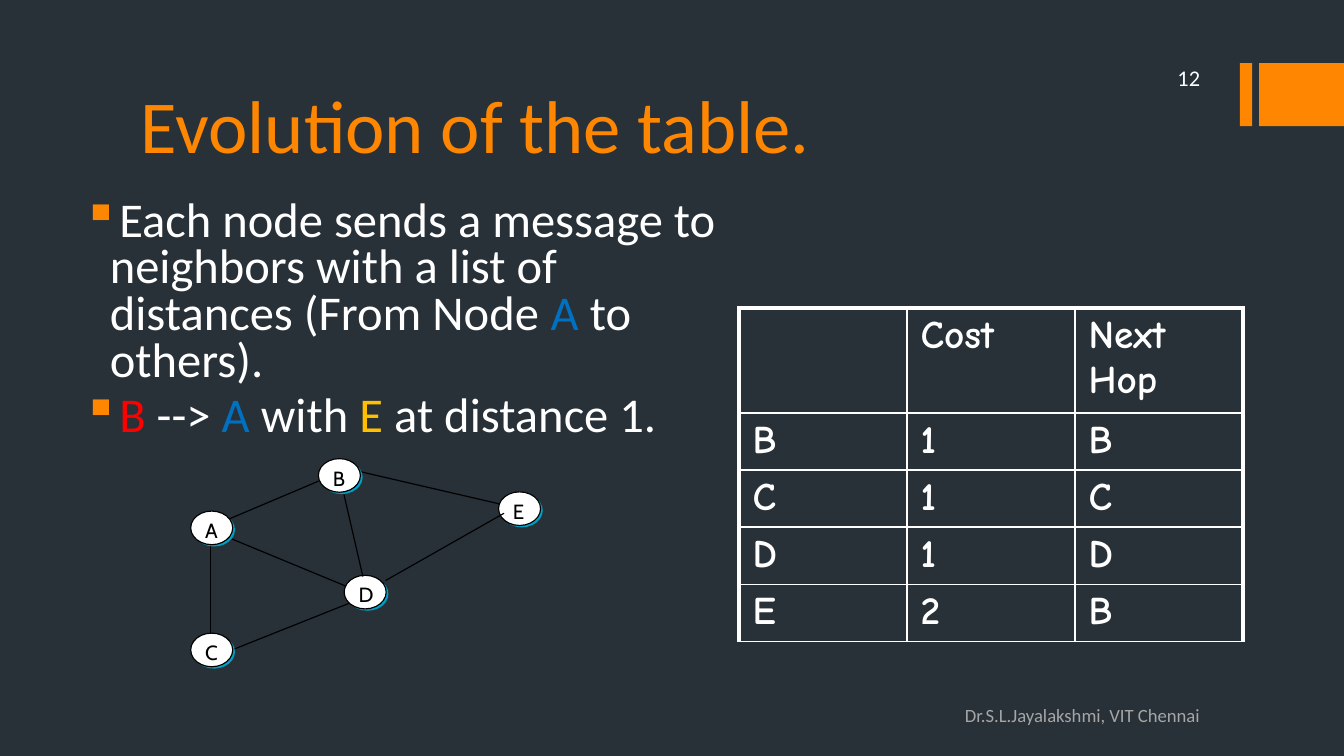
from lxml import etree
from pptx import Presentation
from pptx.dml.color import RGBColor
from pptx.enum.shapes import MSO_CONNECTOR as LINE, MSO_SHAPE as SHAPE
from pptx.enum.text import MSO_ANCHOR as ANCHOR, PP_ALIGN as ALIGN
from pptx.oxml import parse_xml
from pptx.oxml.ns import nsdecls, qn
from pptx.util import Pt

BACKGROUND = RGBColor(0x28, 0x31, 0x38)
ORANGE = RGBColor(0xFF, 0x86, 0x00)
WHITE = RGBColor(0xFF, 0xFF, 0xFF)
BLACK = RGBColor(0x00, 0x00, 0x00)
BLUE = RGBColor(0x00, 0x70, 0xC0)
RED = RGBColor(0xFF, 0x00, 0x00)
GOLD = RGBColor(0xFF, 0xC0, 0x00)
TEAL = RGBColor(0x00, 0xA0, 0xC6)
GREY = RGBColor(0xA6, 0xA6, 0xA6)

deck = Presentation()
deck.slide_width, deck.slide_height = Pt(720), Pt(405)
page = deck.slides.add_slide(deck.slide_layouts[6])
page.background.fill.solid()
page.background.fill.fore_color.rgb = BACKGROUND


def add_span(para, text, size, color, font="Calibri", bold=False):
    span = para.add_run()
    span.text = text
    span.font.size = Pt(size)
    span.font.name = font
    span.font.bold = bold
    span.font.color.rgb = color


def add_filled(kind, left, top, width, height, color):
    shape = page.shapes.add_shape(kind, Pt(left), Pt(top), Pt(width), Pt(height))
    shape.shadow.inherit = False
    shape.fill.solid()
    shape.fill.fore_color.rgb = color
    shape.line.fill.background()
    return shape


# Orange bars at the right edge
for left, width in ((664.2, 6.6), (674.6, 45.4)):
    add_filled(SHAPE.RECTANGLE, left, 33.8, width, 33.8, ORANGE)

# Title, slide number and footer
for text, left, top, width, height, size, color, anchor, align in (
    ("Evolution of the table.", 68.4, 16.6, 566.6, 77, 40, ORANGE, ANCHOR.BOTTOM, ALIGN.LEFT),
    ("12", 576, 32.6, 74, 18, 12, WHITE, ANCHOR.MIDDLE, ALIGN.RIGHT),
    ("Dr.S.L.Jayalakshmi, VIT Chennai", 509.8, 374, 177, 18, 10, GREY, ANCHOR.MIDDLE, ALIGN.LEFT),
):
    box = page.shapes.add_textbox(Pt(left), Pt(top), Pt(width), Pt(height))
    box.text_frame.word_wrap = True
    box.text_frame.vertical_anchor = anchor
    para = box.text_frame.paragraphs[0]
    para.alignment = align
    add_span(para, text, size, color)

# Bulleted text
bullets = (
    (("Each node sends a message to neighbors with a list of distances (From Node ", WHITE),
     ("A", BLUE), (" to others).", WHITE)),
    (("B", RED), (" --> ", WHITE), ("A", BLUE), (" with ", WHITE),
     ("E", GOLD), (" at distance 1.", WHITE)),
)
box = page.shapes.add_textbox(Pt(12.2), Pt(103.7), Pt(383.8), Pt(144))
frame = box.text_frame
frame.word_wrap = True
for index, spans in enumerate(bullets):
    para = frame.add_paragraph() if index else frame.paragraphs[0]
    para.line_spacing = 0.8
    para.space_before = Pt(5 if index else 0)
    props = para._p.get_or_add_pPr()
    props.set("marL", str(Pt(39.6)))
    props.set("indent", str(Pt(-14.4)))
    color = etree.SubElement(props, qn("a:buClr"))
    etree.SubElement(color, qn("a:srgbClr"), val=str(ORANGE))
    etree.SubElement(props, qn("a:buChar"), char="▪")
    for text, color in spans:
        add_span(para, text, 26, color)

# Routing table
rows = (
    ("", "Cost", "Next Hop"),
    ("B", "1", "B"),
    ("C", "1", "C"),
    ("D", "1", "D"),
    ("E", "2", "B"),
)
table = page.shapes.add_table(5, 3, Pt(396), Pt(165), Pt(270), Pt(178.6)).table
table.first_row = table.horz_banding = False
for column in table.columns:
    column.width = Pt(90)
for r, texts in enumerate(rows):
    table.rows[r].height = Pt(30.6 if r else 56.2)
    for c, text in enumerate(texts):
        cell = table.cell(r, c)
        cell.fill.background()
        cell.margin_top = cell.margin_bottom = Pt(2.7)
        if text:
            add_span(cell.text_frame.paragraphs[0], text, 21, WHITE, "Comic Neue", True)
        # Thick outer edge on the left, top and right; thin lines elsewhere
        thick = {"lnL": c == 0, "lnR": c == 2, "lnT": r == 0, "lnB": False}
        for position, (side, is_thick) in enumerate(thick.items()):
            border = parse_xml(
                f'<a:{side} {nsdecls("a")} w="{Pt(2.25 if is_thick else 1)}">'
                f'<a:solidFill><a:srgbClr val="{WHITE}"/></a:solidFill></a:{side}>')
            cell._tc.get_or_add_tcPr().insert(position, border)

# Network graph: links, nodes with an offset shade, and letters
nodes = {"A": (102.2, 273.8), "C": (102.2, 339.2), "D": (184.4, 308.2),
         "B": (170.6, 245.7), "E": (267.1, 263.5)}
links_behind = (
    (113, 339.1, 113, 291.6),      # C-A
    (123.1, 277.9, 170.6, 257.8),  # A-B
    (122.4, 288, 185, 313.9),      # A-D
    (193, 252.7, 267.8, 270),      # B-E
    (188.6, 322.6, 125.3, 347.8),  # D-C
)
links_in_front = (
    (184.3, 265, 194.4, 308.9),    # B-D
    (270, 275, 206.6, 311),        # E-D
)
link_spots = []
for x1, y1, x2, y2 in links_behind + links_in_front:
    link = page.shapes.add_connector(LINE.STRAIGHT, Pt(x1), Pt(y1), Pt(x2), Pt(y2))
    link.line.color.rgb = BLACK
    link.line.width = Pt(0.63)
    etree.SubElement(link._element.spPr, qn("a:effectLst"))
    link_spots.append(link)

for left, top in nodes.values():
    add_filled(SHAPE.OVAL, left + 1.2, top + 1, 22.5, 18, TEAL)
for letter, (left, top) in nodes.items():
    oval = add_filled(SHAPE.OVAL, left, top, 22.5, 18, WHITE)
    oval.line.color.rgb = BLACK
    oval.line.width = Pt(0.63)
for letter, (left, top) in nodes.items():
    label = page.shapes.add_textbox(Pt(left + 7.7), Pt(top + 3.8), Pt(7.5), Pt(13))
    frame = label.text_frame
    frame.word_wrap = False
    frame.margin_left = frame.margin_right = frame.margin_top = frame.margin_bottom = 0
    add_span(frame.paragraphs[0], letter, 11, BLACK, "Cabin")

# The last links lie over the nodes
for link in link_spots[len(links_behind):]:
    page.shapes._spTree.append(link._element)

deck.save("out.pptx")
